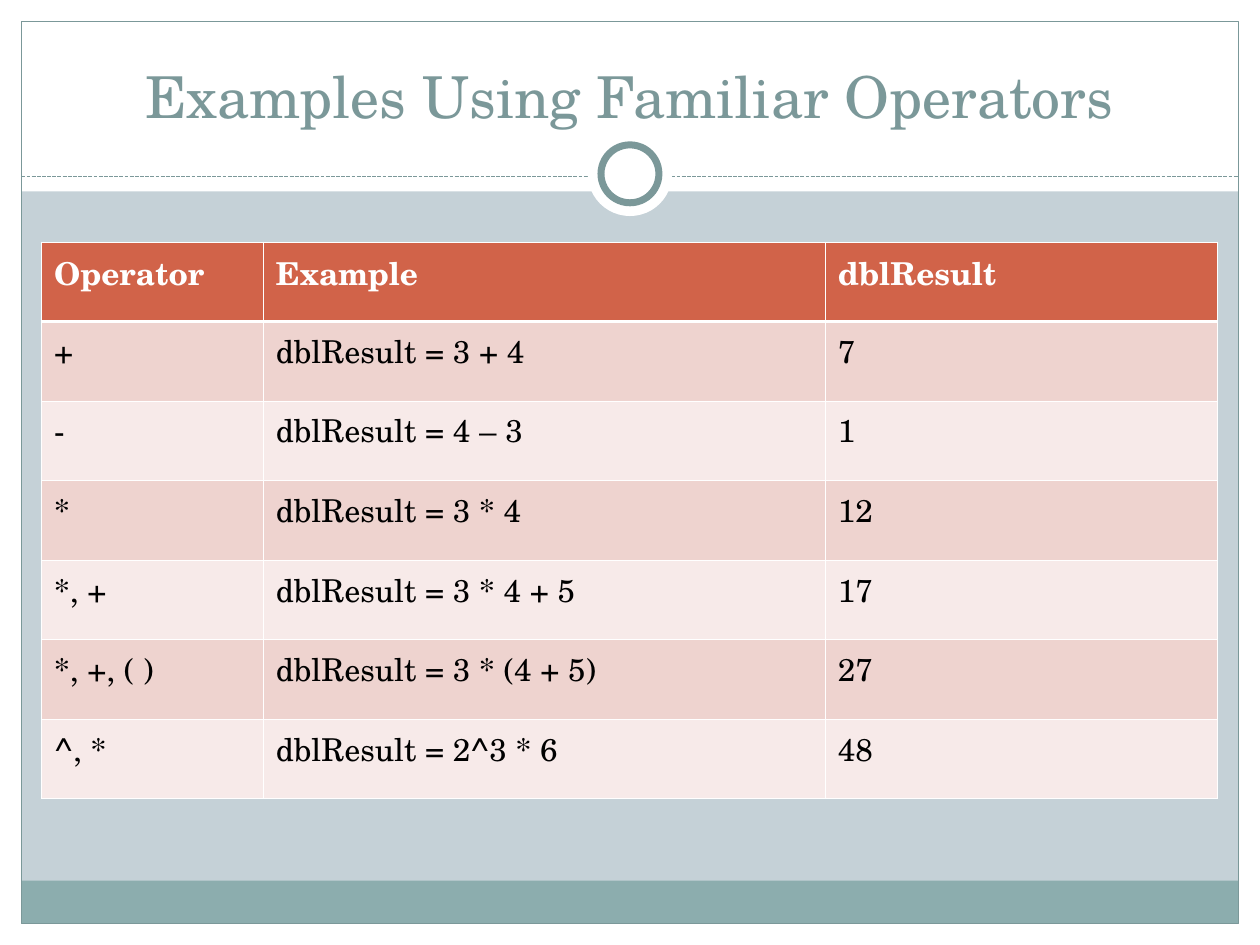
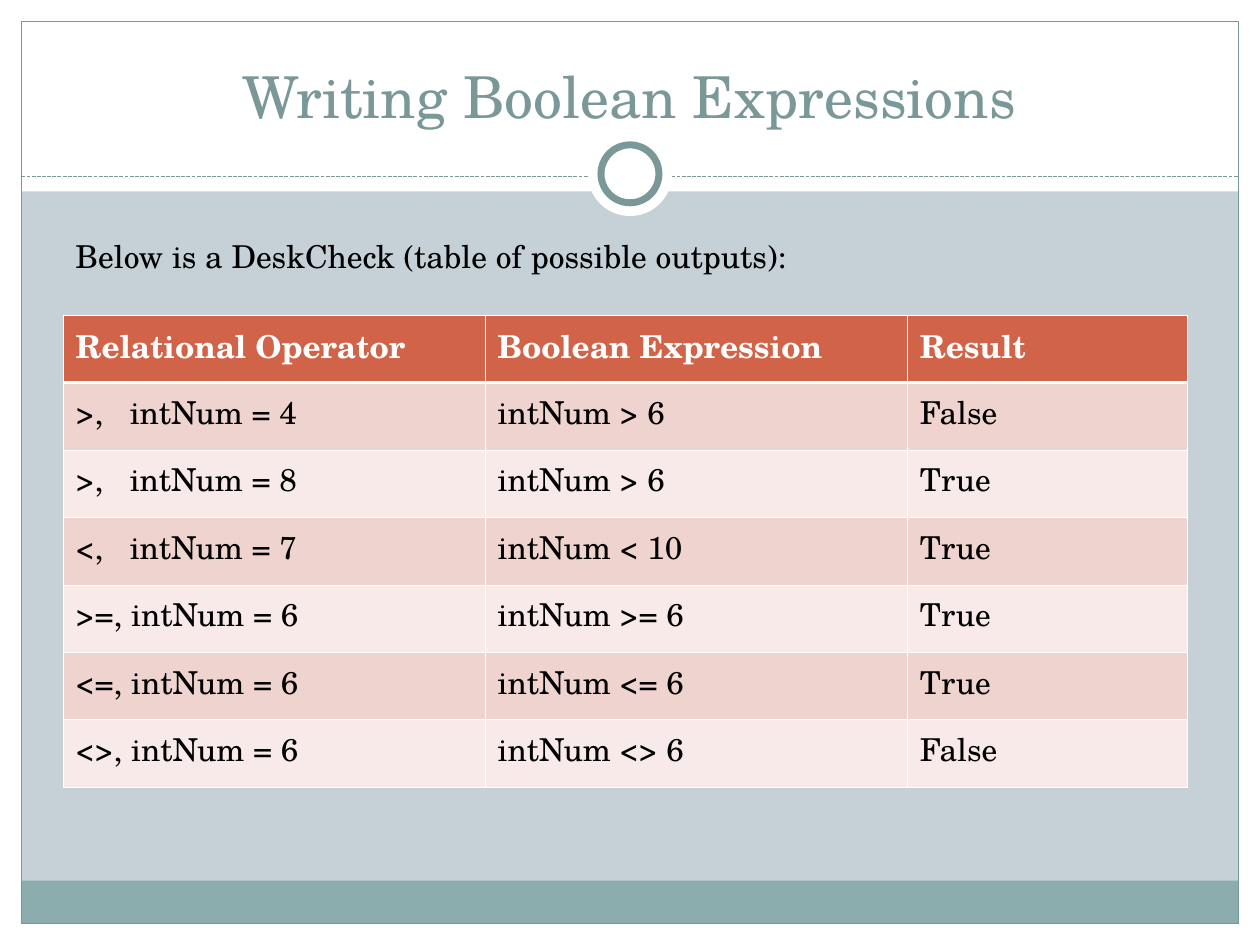
from dataclasses import dataclass

from lxml.etree import SubElement
from pptx import Presentation
from pptx.dml.color import RGBColor
from pptx.enum.dml import MSO_LINE
from pptx.enum.shapes import MSO_CONNECTOR, MSO_SHAPE
from pptx.enum.text import MSO_ANCHOR, MSO_AUTO_SIZE, PP_ALIGN
from pptx.oxml.ns import qn
from pptx.util import Inches, Pt


@dataclass(frozen=True)
class Theme:
    font: str = "TeX Gyre Schola"
    title_size: int = 33
    text_size: int = 18
    backdrop: str = "C5D1D7"
    white: str = "FFFFFF"
    black: str = "000000"
    slate: str = "7B9899"
    footer: str = "8CADAE"
    header: str = "D16349"
    bands: tuple = ("EED3CF", "F7EAE9")
    outline: float = 0.75
    ring: float = 4
    grid: float = 0.45
    header_rule: float = 1.5


THEME = Theme()
WIDTH, HEIGHT, MARGIN = 10, 7.5, 0.17
INNER_WIDTH = WIDTH - 2 * MARGIN
FOOTER_HEIGHT = 0.34
TITLE_AREA = (0.33, 0.25, 9.33, 0.83)
OPERATOR_TAB = 0.43

SLIDES = [
    {
        "title": "Examples Using Familiar Operators",
        "table": {
            "area": (0.33, 1.92, 4.42),
            "columns": (1.76, 4.46, 3.11),
            "rows": [
                ("Operator", "Example", "dblResult"),
                ("+", "dblResult = 3 + 4", "7"),
                ("-", "dblResult = 4 – 3", "1"),
                ("*", "dblResult = 3 * 4", "12"),
                ("*, +", "dblResult = 3 * 4 + 5", "17"),
                ("*, +, ( )", "dblResult = 3 * (4 + 5)", "27"),
                ("^, *", "dblResult = 2^3 * 6", "48"),
            ],
        },
    },
    {
        "title": "Writing Boolean Expressions",
        "caption": {
            "text": "Below is a DeskCheck (table of possible outputs):",
            "area": (0.5, 1.83, 8.75, 0.4),
        },
        "table": {
            "area": (0.5, 2.5, 3.75),
            "columns": (3.35, 3.35, 2.22),
            "rows": [
                ("Relational Operator", "Boolean Expression", "Result"),
                (">,\tintNum = 4", "intNum > 6", "False"),
                (">,\tintNum = 8", "intNum > 6", "True"),
                ("<,\tintNum = 7", "intNum < 10", "True"),
                (">=, intNum = 6", "intNum >= 6", "True"),
                ("<=, intNum = 6", "intNum <= 6", "True"),
                ("<>, intNum = 6", "intNum <> 6", "False"),
            ],
        },
    },
]


def rgb(color):
    return RGBColor.from_string(color)


def write(para, text, size, color, bold=False):
    if "\t" in text:
        tabs = SubElement(para._p.get_or_add_pPr(), qn("a:tabLst"))
        SubElement(tabs, qn("a:tab"), pos=str(Inches(OPERATOR_TAB)), algn="l")
    span = para.add_run()
    span.text = text
    span.font.name = THEME.font
    span.font.size = Pt(size)
    span.font.bold = bold
    span.font.color.rgb = rgb(color)


def add_shape(page, kind, area, fill=None, line_width=None):
    shape = page.shapes.add_shape(kind, *map(Inches, area))
    shape.shadow.inherit = False
    if fill:
        shape.fill.solid()
        shape.fill.fore_color.rgb = rgb(fill)
    else:
        shape.fill.background()
    if line_width:
        shape.line.color.rgb = rgb(THEME.slate)
        shape.line.width = Pt(line_width)
    else:
        shape.line.fill.background()
    return shape


def add_divider(page, top):
    divider = page.shapes.add_connector(
        MSO_CONNECTOR.STRAIGHT,
        *map(Inches, (MARGIN, top, WIDTH - MARGIN, top)),
    )
    divider.line.color.rgb = rgb(THEME.slate)
    divider.line.width = Pt(THEME.outline)
    divider.line.dash_style = MSO_LINE.SQUARE_DOT
    SubElement(divider.element.spPr, qn("a:effectLst"))
    return divider


def add_disc(page, diameter, line_width=None):
    center = 1.38
    area = (WIDTH / 2 - diameter / 2, center - diameter / 2, diameter, diameter)
    return add_shape(page, MSO_SHAPE.OVAL, area, THEME.white, line_width)


def frame_layout(layout, page):
    bottom = HEIGHT - MARGIN
    white_bands = [
        (0, bottom, WIDTH, MARGIN),
        (0, 0, WIDTH, 1.52),
        (0, 0, MARGIN, HEIGHT),
        (WIDTH - MARGIN, 0, MARGIN, HEIGHT),
    ]
    footer = (MARGIN, bottom - FOOTER_HEIGHT, INNER_WIDTH, FOOTER_HEIGHT)
    border = (MARGIN, MARGIN, INNER_WIDTH, HEIGHT - 2 * MARGIN)
    rect = MSO_SHAPE.RECTANGLE
    parts = [add_shape(page, rect, area, THEME.white) for area in white_bands]
    parts += [
        add_shape(page, rect, footer, THEME.footer),
        add_shape(page, rect, border, line_width=THEME.outline),
        add_divider(page, 1.4),
        add_disc(page, 0.67),
        add_disc(page, 0.46, THEME.ring),
    ]
    title = layout.placeholders[0].element
    for part in parts:
        title.addprevious(part.element)


def prepare_layout(deck):
    background = deck.slide_master.background.fill
    background.solid()
    background.fore_color.rgb = rgb(THEME.backdrop)
    layout = deck.slide_layouts.get_by_name("Title Only")
    for holder in list(layout.placeholders)[1:]:
        holder.element.getparent().remove(holder.element)
    return layout


def set_title(page, text):
    title = page.shapes.title
    title.left, title.top, title.width, title.height = map(Inches, TITLE_AREA)
    frame = title.text_frame
    frame.auto_size = MSO_AUTO_SIZE.NONE
    frame.vertical_anchor = MSO_ANCHOR.BOTTOM
    para = frame.paragraphs[0]
    para.alignment = PP_ALIGN.CENTER
    write(para, text, THEME.title_size, THEME.slate)


def add_caption(page, text, area):
    box = page.shapes.add_textbox(*map(Inches, area))
    frame = box.text_frame
    frame.word_wrap = True
    frame.auto_size = MSO_AUTO_SIZE.SHAPE_TO_FIT_TEXT
    write(frame.paragraphs[0], text, THEME.text_size, THEME.black)


def set_borders(cell, row):
    top = THEME.header_rule if row == 1 else THEME.grid
    bottom = THEME.header_rule if row == 0 else THEME.grid
    widths = {"lnL": THEME.grid, "lnR": THEME.grid, "lnT": top, "lnB": bottom}
    properties = cell._tc.get_or_add_tcPr()
    for side, width in widths.items():
        line = SubElement(properties, qn(f"a:{side}"), w=str(Pt(width)))
        fill = SubElement(line, qn("a:solidFill"))
        SubElement(fill, qn("a:srgbClr"), val=THEME.white)


def add_grid(page, area, columns, rows):
    left, top, height = area
    table = page.shapes.add_table(
        len(rows), len(columns), *map(Inches, (left, top, sum(columns), height))
    ).table
    for column, width in zip(table.columns, columns):
        column.width = Inches(width)
    for r, texts in enumerate(rows):
        table.rows[r].height = Inches(height / len(rows))
        is_header = r == 0
        fill = THEME.header if is_header else THEME.bands[(r - 1) % 2]
        color = THEME.white if is_header else THEME.black
        for c, text in enumerate(texts):
            cell = table.cell(r, c)
            set_borders(cell, r)
            cell.fill.solid()
            cell.fill.fore_color.rgb = rgb(fill)
            para = cell.text_frame.paragraphs[0]
            write(para, text, THEME.text_size, color, bold=is_header)


def main():
    deck = Presentation()
    deck.slide_width, deck.slide_height = Inches(WIDTH), Inches(HEIGHT)
    layout = prepare_layout(deck)
    for number, content in enumerate(SLIDES):
        page = deck.slides.add_slide(layout)
        if number == 0:
            frame_layout(layout, page)
        set_title(page, content["title"])
        add_grid(page, **content["table"])
        if "caption" in content:
            add_caption(page, **content["caption"])
    deck.save("out.pptx")


if __name__ == "__main__":
    main()
